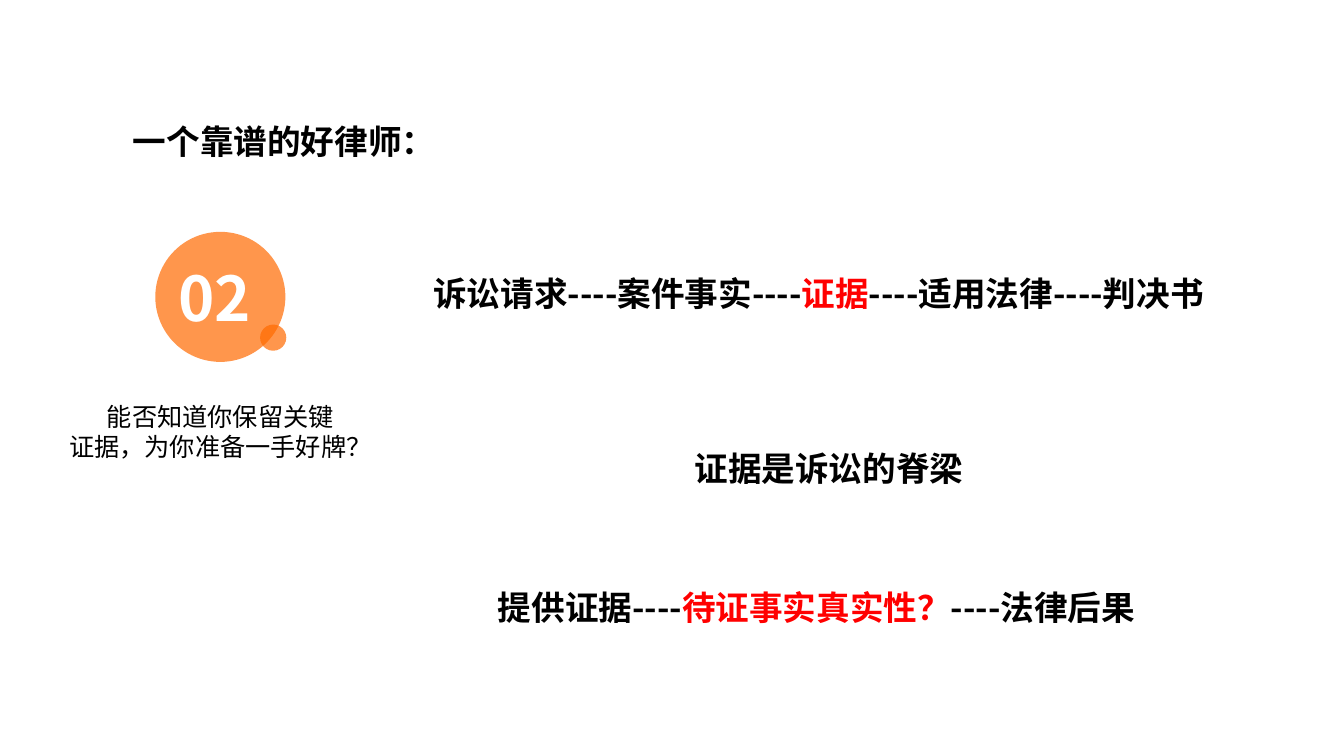
import pptx
import pptx.util
import pptx.dml.color
import pptx.enum.shapes
import pptx.enum.text
import pptx.oxml.ns
import lxml.etree

PX = 9144  # 100 px to the inch
FONT = "Noto Sans CJK SC"
COLORS = {"text": "000000", "accent": "FF0000", "badge": "FF6A00", "number": "FFFFFF"}
ALIGN = pptx.enum.text.PP_ALIGN


def color(name):
    return pptx.dml.color.RGBColor.from_string(COLORS[name])


def add_text(slide, box, paragraphs, size=24, bold=True, align=ALIGN.LEFT, wrap=False):
    """Place paragraphs, each a list of (text, color name) runs, in a box."""
    shape = slide.shapes.add_textbox(*(length * PX for length in box))
    frame = shape.text_frame
    frame.word_wrap = wrap
    frame.auto_size = pptx.enum.text.MSO_AUTO_SIZE.SHAPE_TO_FIT_TEXT
    font_format = {"name": FONT, "size": pptx.util.Pt(size), "bold": bold}
    for index, runs in enumerate(paragraphs):
        paragraph = frame.add_paragraph() if index else frame.paragraphs[0]
        paragraph.alignment = align
        for text, color_name in runs:
            run = paragraph.add_run()
            run.text = text
            for name, value in font_format.items():
                setattr(run.font, name, value)
            run.font.color.rgb = color(color_name)
            east_asian = lxml.etree.SubElement(
                run.font._element, pptx.oxml.ns.qn("a:ea"))
            east_asian.set("typeface", FONT)


def add_circle(slide, left, top, diameter):
    """Draw a translucent orange circle."""
    shape = slide.shapes.add_shape(
        pptx.enum.shapes.MSO_SHAPE.OVAL,
        left * PX, top * PX, diameter * PX, diameter * PX)
    shape.shadow.inherit = False
    shape.line.fill.background()
    shape.fill.solid()
    shape.fill.fore_color.rgb = color("badge")
    fill_color = shape.fill._xPr.find(".//" + pptx.oxml.ns.qn("a:srgbClr"))
    alpha = lxml.etree.SubElement(fill_color, pptx.oxml.ns.qn("a:alpha"))
    alpha.set("val", "70000")


def add_question(slide, left, top):
    """Build the numbered badge with its question below."""
    add_text(slide, (left, top + 163, 323, 71),
             [[("能否知道你保留关键", "text")], [("证据，为你准备一手好牌？", "text")]],
             size=18, bold=False, align=ALIGN.CENTER)
    add_circle(slide, left + 97, top, 129)
    add_text(slide, (left + 110, top + 23, 105, 84), [[("02", "number")]],
             size=44, wrap=True)
    add_circle(slide, left + 201, top + 92, 26)


def add_evidence_chains(slide, left, top):
    """Build the two chains of steps and the statement between them."""
    add_text(slide, (left + 259, top + 173, 289, 50), [[("证据是诉讼的脊梁", "text")]])
    add_text(slide, (left, top, 862, 50), [[
        ("诉讼请求----案件事实----", "text"),
        ("证据", "accent"),
        ("----适用法律----判决书", "text")]])
    add_text(slide, (left + 64, top + 311, 693, 50), [[
        ("提供证据----", "text"),
        ("待证事实真实性？", "accent"),
        ("----法律后果", "text")]])


def main():
    presentation = pptx.Presentation()
    presentation.slide_width = 1333 * PX
    presentation.slide_height = 750 * PX
    slide = presentation.slides.add_slide(presentation.slide_layouts[6])
    add_question(slide, 57, 230)
    add_text(slide, (122, 115, 323, 50), [[("一个靠谱的好律师：", "text")]])
    add_evidence_chains(slide, 420, 266)
    presentation.save("out.pptx")


if __name__ == "__main__":
    main()
